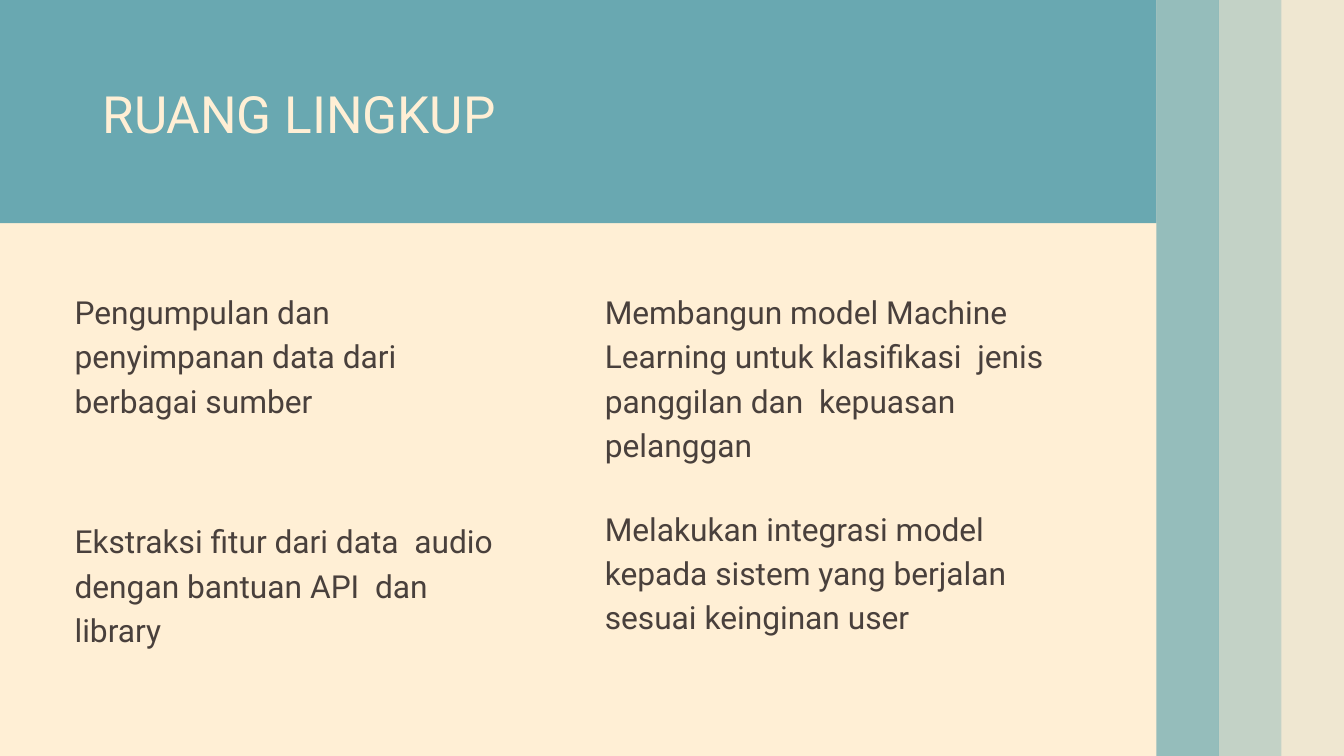
from lxml.etree import SubElement
from pptx import Presentation
from pptx.dml.color import RGBColor
from pptx.enum.shapes import MSO_SHAPE as Shape
from pptx.enum.text import MSO_ANCHOR as Anchor, PP_ALIGN as Align
from pptx.oxml.ns import qn
from pptx.util import Inches, Pt

COLOURS = {"cream": "FFEFD5", "teal": "69A8B1", "brown": "49403C"}
WIDTH, HEIGHT = 20, 11.25
BAND_WIDTH, BAND_HEIGHT = 17.21, 3.32
STRIPE_OPACITIES = [70, 40, 10]

TITLE = "RUANG LINGKUP"
SCOPES = [
    ((1.11, 4.26, 5.59, 1.99),
     ["Pengumpulan dan penyimpanan data dari berbagai sumber"]),
    ((1.11, 7.67, 6.39, 1.99),
     ["Ekstraksi fitur dari data  audio dengan bantuan API  dan library"]),
    ((9, 4.26, 6.95, 5.22),
     ["Membangun model Machine Learning untuk klasifikasi  jenis "
      "panggilan dan  kepuasan pelanggan",
      "Melakukan integrasi model kepada sistem yang berjalan "
      "sesuai keinginan user"]),
]


def colour(name):
    return RGBColor.from_string(COLOURS[name])


def add_panel(page, left, width, height, opacity=100):
    panel = page.shapes.add_shape(
        Shape.RECTANGLE, Inches(left), 0, Inches(width), Inches(height))
    panel.shadow.inherit = False
    panel.line.fill.background()
    panel.fill.solid()
    panel.fill.fore_color.rgb = colour("teal")
    if opacity < 100:
        tone = panel.fill._xPr.find(".//" + qn("a:srgbClr"))
        SubElement(tone, qn("a:alpha"), val=str(opacity * 1000))


def write_text(box, paragraphs, size, ink, align=Align.LEFT, spacing=1.0, gap=0):
    frame = box.text_frame
    frame.word_wrap = True
    frame.vertical_anchor = Anchor.TOP
    frame.margin_left = frame.margin_right = frame.margin_bottom = 0
    frame.margin_top = Inches(0.01)
    for index, text in enumerate(paragraphs):
        para = frame.add_paragraph() if index else frame.paragraphs[0]
        para.alignment = align
        para.line_spacing = spacing
        para.space_before = Pt(gap if index else 0)
        span = para.add_run()
        span.text = text
        span.font.name = "Roboto"
        span.font.size = Pt(size)
        span.font.bold = False
        span.font.color.rgb = colour(ink)


deck = Presentation()
deck.slide_width, deck.slide_height = Inches(WIDTH), Inches(HEIGHT)
page = deck.slides.add_slide(deck.slide_layouts[5])
page.background.fill.solid()
page.background.fill.fore_color.rgb = colour("cream")

add_panel(page, 0, BAND_WIDTH, BAND_HEIGHT)
stripe_width = (WIDTH - BAND_WIDTH) / len(STRIPE_OPACITIES)
for index, opacity in enumerate(STRIPE_OPACITIES):
    add_panel(page, BAND_WIDTH + index * stripe_width, stripe_width, HEIGHT, opacity)

title = page.shapes.title
title.left, title.top = Inches(1.11), Inches(1.22)
title.width, title.height = Inches(6.68), Inches(0.94)
page.shapes._spTree.append(title._element)
write_text(title, [TITLE], 55, "cream", align=Align.CENTER)

for place, paragraphs in SCOPES:
    box = page.shapes.add_textbox(*map(Inches, place))
    write_text(box, paragraphs, 34, "brown", spacing=1.16, gap=43)

deck.save("out.pptx")
